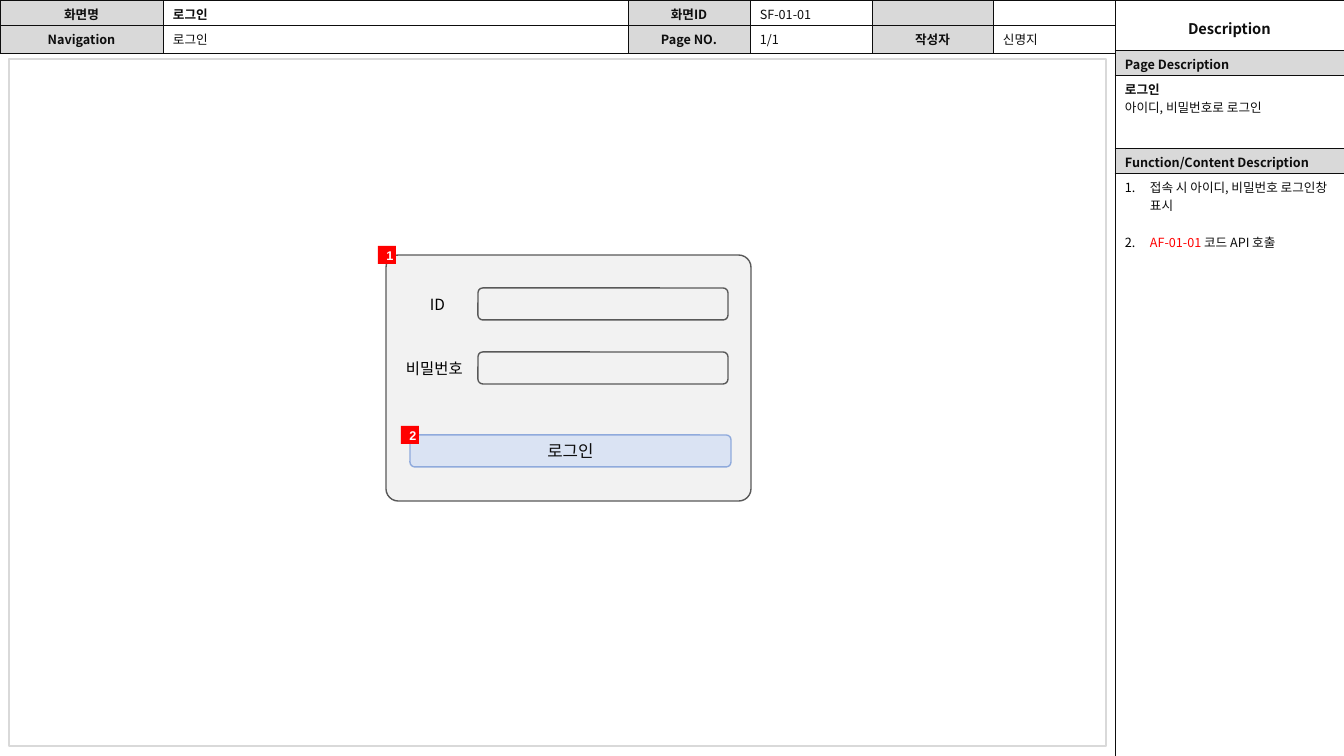
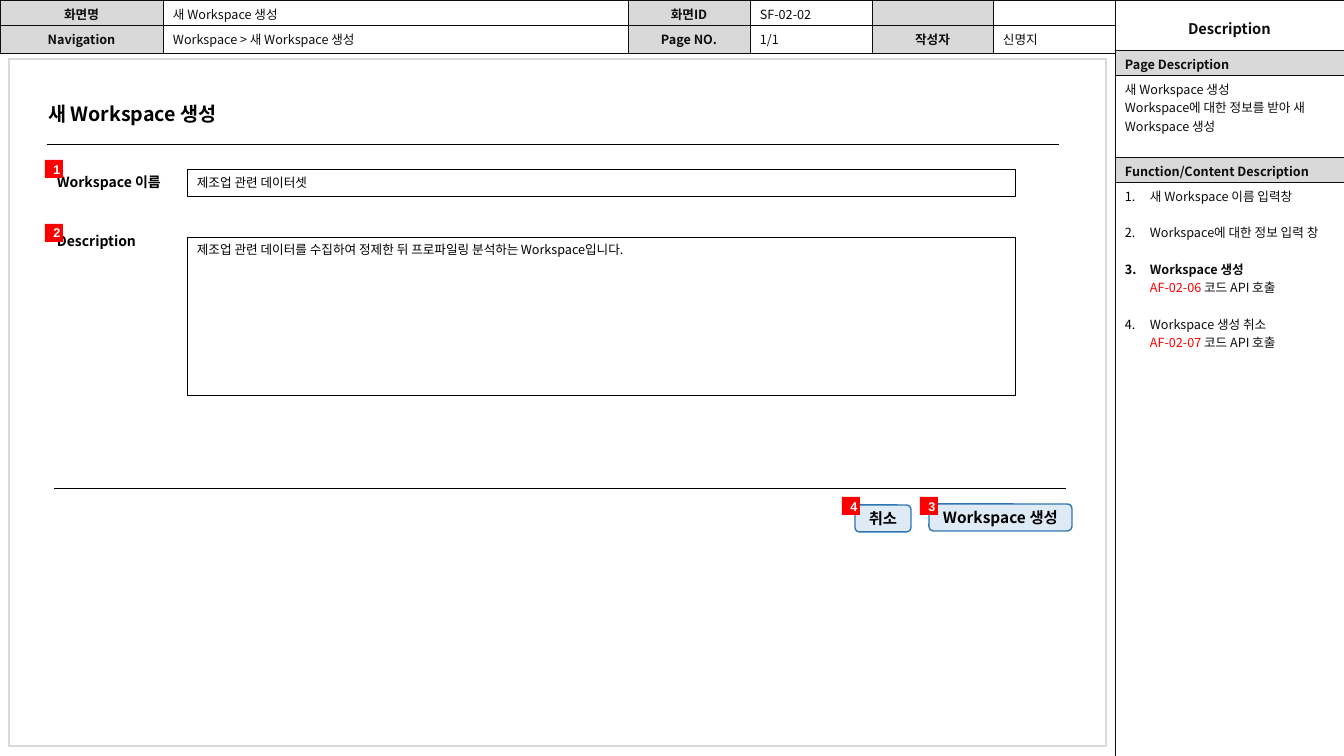
from copy import deepcopy
from dataclasses import dataclass

from lxml.etree import SubElement
from pptx import Presentation
from pptx.dml.color import RGBColor
from pptx.enum.shapes import MSO_CONNECTOR, MSO_SHAPE
from pptx.enum.text import MSO_ANCHOR, MSO_AUTO_SIZE, PP_ALIGN
from pptx.oxml.ns import qn
from pptx.util import Emu, Pt


@dataclass(frozen=True)
class Theme:
    font: str = "Noto Sans CJK KR"
    badge_font: str = "Arial"
    black: str = "000000"
    ink: str = "0D0D0D"
    white: str = "FFFFFF"
    red: str = "FF0000"
    band: str = "D9D9D9"
    panel: str = "F2F2F2"
    panel_line: str = "595959"
    login: str = "DAE3F3"
    login_line: str = "8FAADC"
    action: str = "DEEBF7"
    action_line: str = "2E75B6"
    small: float = 9
    label: float = 10
    heading: float = 10.5
    medium: float = 11
    large: float = 12
    title: float = 14
    hairline: float = 0.5
    outline: float = 1


THEME = Theme()
SLIDE_WIDTH, SLIDE_HEIGHT = 1344, 756
SIDE_LEFT, SIDE_TOP = 1115, 50
HEADER_COLUMNS = (163, 465, 122, 122, 121, 122, 229)
HEADER_ROWS = (25, 28)
SIDE_BAND = 25
BADGE_SIZE = 18
BREAK = "\n"


@dataclass(frozen=True)
class Run:
    text: str
    bold: bool = False
    color: str = THEME.ink
    size: float = THEME.small
    font: str = THEME.font


def px(length):
    return Emu(round(length * 914400 / 100.8))


def rgb(color):
    return RGBColor.from_string(color)


# Text
def add_runs(paragraph, runs):
    for item in runs:
        if item == BREAK:
            # The break takes the type size of the run before it
            properties = paragraph.runs[-1]._r.find(qn("a:rPr"))
            paragraph.add_line_break()
            paragraph._p[-1].append(deepcopy(properties))
            continue
        run = paragraph.add_run()
        run.text = item.text
        run.font.size = Pt(item.size)
        run.font.bold = item.bold
        run.font.color.rgb = rgb(item.color)
        run.font.name = item.font
        SubElement(run._r.find(qn("a:rPr")), qn("a:ea"), typeface=item.font)


def number_paragraph(paragraph):
    properties = paragraph._p.get_or_add_pPr()
    properties.set("marL", str(px(25)))
    properties.set("indent", str(-px(25)))
    color = SubElement(properties, qn("a:buClr"))
    SubElement(color, qn("a:srgbClr"), val=THEME.black)
    SubElement(properties, qn("a:buAutoNum"), type="arabicPeriod")


def write(frame, paragraphs, align=PP_ALIGN.LEFT, numbered=False):
    for index, runs in enumerate(paragraphs):
        paragraph = frame.add_paragraph() if index else frame.paragraphs[0]
        paragraph.alignment = align
        if numbered:
            number_paragraph(paragraph)
            if index:
                paragraph.space_before = Pt(13)
        add_runs(paragraph, runs)


def add_label(slide, left, top, width, height, run):
    frame = slide.shapes.add_textbox(px(left), px(top), px(width), px(height)).text_frame
    frame.word_wrap = True
    write(frame, [[run]])


def set_title(slide, left, top, width, height, text):
    title = slide.shapes.title
    title.left, title.top = px(left), px(top)
    title.width, title.height = px(width), px(height)
    frame = title.text_frame
    frame.auto_size = MSO_AUTO_SIZE.NONE
    frame.vertical_anchor = MSO_ANCHOR.TOP
    write(frame, [[Run(text, True, THEME.black, THEME.title)]])


# Shapes
def add_box(slide, left, top, width, height, line=None, fill=None, radius=None,
            weight=THEME.outline):
    kind = MSO_SHAPE.RECTANGLE if radius is None else MSO_SHAPE.ROUNDED_RECTANGLE
    shape = slide.shapes.add_shape(kind, px(left), px(top), px(width), px(height))
    shape.shadow.inherit = False
    if radius is not None:
        shape.adjustments[0] = radius
    if fill:
        shape.fill.solid()
        shape.fill.fore_color.rgb = rgb(fill)
    else:
        shape.fill.background()
    if line:
        shape.line.color.rgb = rgb(line)
        shape.line.width = Pt(weight)
    else:
        shape.line.fill.background()
    shape.text_frame.word_wrap = True
    return shape


def add_button(slide, left, top, width, height, run, fill, line, radius):
    frame = add_box(slide, left, top, width, height, line, fill, radius).text_frame
    frame.margin_left = frame.margin_right = 0
    frame.vertical_anchor = MSO_ANCHOR.MIDDLE
    write(frame, [[run]], PP_ALIGN.CENTER)


def add_field(slide, left, top, width, height, text, anchor):
    frame = add_box(slide, left, top, width, height, THEME.black,
                    weight=THEME.hairline).text_frame
    frame.vertical_anchor = anchor
    write(frame, [[Run(text, color=THEME.black)]])


def add_badges(slide, positions):
    for number, (left, top) in positions.items():
        frame = add_box(slide, left, top, BADGE_SIZE, BADGE_SIZE, fill=THEME.red).text_frame
        frame.margin_left = px(6)
        frame.margin_right = frame.margin_top = frame.margin_bottom = 0
        frame.vertical_anchor = MSO_ANCHOR.MIDDLE
        run = Run(str(number), True, THEME.white, THEME.small, THEME.badge_font)
        write(frame, [[run]], PP_ALIGN.CENTER)


def add_rule(slide, left, top, width):
    rule = slide.shapes.add_connector(
        MSO_CONNECTOR.STRAIGHT, px(left), px(top), px(left + width), px(top))
    rule.line.color.rgb = rgb(THEME.black)
    rule.line.width = Pt(THEME.hairline)
    SubElement(rule._element.spPr, qn("a:effectLst"))


# Tables
def add_grid(slide, left, top, columns, rows):
    table = slide.shapes.add_table(
        len(rows), len(columns), px(left), px(top), px(sum(columns)), px(sum(rows))).table
    table.first_row = table.horz_banding = False
    for column, width in zip(table.columns, columns):
        column.width = px(width)
    for row, height in zip(table.rows, rows):
        row.height = px(height)
    return table


def style_cell(cell, fill):
    cell.fill.solid()
    cell.fill.fore_color.rgb = rgb(fill)
    cell.margin_left = cell.margin_right = px(10)
    cell.margin_top, cell.margin_bottom = px(5), px(1)
    properties = cell._tc.get_or_add_tcPr()
    for index, side in enumerate(("lnL", "lnR", "lnT", "lnB")):
        border = SubElement(properties, qn(f"a:{side}"), w=str(Pt(THEME.hairline)))
        solid = SubElement(border, qn("a:solidFill"))
        SubElement(solid, qn("a:srgbClr"), val=THEME.ink)
        properties.insert(index, border)
    if not cell.text_frame.text:
        # Keeps an empty cell from stretching its row
        SubElement(cell.text_frame.paragraphs[0]._p, qn("a:endParaRPr"),
                   sz=str(int(THEME.small * 100)))


def add_header(slide, name, screen_id, navigation):
    table = add_grid(slide, 0, 0, HEADER_COLUMNS, HEADER_ROWS)
    rows = (("화면명", name, "화면ID", Run(screen_id), "", None),
            ("Navigation", Run(navigation), "Page NO.", Run("1/1"), "작성자", Run("신명지")))
    for row_index, row in enumerate(rows):
        for column_index, content in enumerate(row):
            cell = table.cell(row_index, column_index)
            is_heading = column_index % 2 == 0
            if content:
                run = Run(content, True) if is_heading else content
                write(cell.text_frame, [[run]],
                      PP_ALIGN.CENTER if is_heading else PP_ALIGN.LEFT)
            style_cell(cell, THEME.band if is_heading else THEME.white)
    description, below = table.cell(0, 6), table.cell(1, 6)
    write(description.text_frame, [[Run("Description", True, size=THEME.heading)]],
          PP_ALIGN.CENTER)
    for cell in (description, below):
        style_cell(cell, THEME.white)
    description.vertical_anchor = MSO_ANCHOR.MIDDLE
    description.merge(below)


def add_side_panel(slide, page_height, page_lines, functions):
    rest = SLIDE_HEIGHT - SIDE_TOP - 2 * SIDE_BAND - page_height
    table = add_grid(slide, SIDE_LEFT, SIDE_TOP, HEADER_COLUMNS[-1:],
                     (SIDE_BAND, page_height, SIDE_BAND, rest))
    sections = (([[Run("Page Description", True)]], THEME.band),
                (page_lines, THEME.white),
                ([[Run("Function/Content Description", True)]], THEME.band),
                (functions, THEME.white))
    for index, (paragraphs, fill) in enumerate(sections):
        cell = table.cell(index, 0)
        write(cell.text_frame, paragraphs, numbered=paragraphs is functions)
        style_cell(cell, fill)


def add_frame(slide):
    add_box(slide, 9, 59, 1097, 687, THEME.band)


def api_call(code):
    return [Run(f"{code} ", color=THEME.red), Run("코드 API 호출")]


# Slides
def build_login(presentation):
    slide = presentation.slides.add_slide(presentation.slide_layouts[6])
    add_header(slide, Run("로그인", True), "SF-01-01", "로그인")
    add_side_panel(
        slide, 73,
        [[Run("로그인", True)], [Run("아이디, 비밀번호로 로그인")]],
        [[Run("접속 시 아이디, 비밀번호 로그인창 표시")], api_call("AF-01-01")])
    add_frame(slide)
    add_box(slide, 386, 255, 365, 246, THEME.panel_line, THEME.panel, 0.05)
    for text, label_left, top in (("ID", 420, 288), ("비밀번호", 396, 352)):
        add_box(slide, 478, top, 250, 32, THEME.panel_line, THEME.panel, 0.15)
        add_label(slide, label_left, top + 2, 93, 29,
                  Run(text, color=THEME.black, size=THEME.medium))
    add_button(slide, 410, 435, 321, 32, Run("로그인", size=THEME.large),
               THEME.login, THEME.login_line, 0.15)
    add_badges(slide, {1: (378, 246), 2: (401, 426)})


def build_workspace(presentation):
    slide = presentation.slides.add_slide(presentation.slide_layouts[5])
    name = "새 Workspace 생성"
    add_header(slide, Run(name), "SF-02-02", f"Workspace > {name}")
    add_side_panel(
        slide, 82,
        [[Run(name)], [Run("Workspace에 대한 정보를 받아 새 Workspace 생성")]],
        [[Run("새 Workspace 이름 입력창")],
         [Run("Workspace에 대한 정보 입력 창")],
         [Run("Workspace 생성", True), BREAK, *api_call("AF-02-06")],
         [Run("Workspace 생성 취소"), BREAK, *api_call("AF-02-07")]])
    add_frame(slide)
    set_title(slide, 38, 97, 245, 34, name)
    for left, top in ((47, 144), (54, 488)):
        add_rule(slide, left, top, 1012)
    # Form
    for text, top in (("Workspace 이름", 169), ("Description", 228)):
        add_label(slide, 47, top, 149, 27, Run(text, True, THEME.black, THEME.label))
    add_field(slide, 187, 169, 828, 27, "제조업 관련 데이터셋", MSO_ANCHOR.MIDDLE)
    add_field(slide, 187, 237, 828, 158,
              "제조업 관련 데이터를 수집하여 정제한 뒤 프로파일링 분석하는 Workspace입니다.",
              MSO_ANCHOR.TOP)
    for text, left, top, width in (("Workspace 생성", 929, 504, 143), ("취소", 855, 505, 56)):
        add_button(slide, left, top, width, 27, Run(text, True, THEME.black, THEME.medium),
                   THEME.action, THEME.action_line, 0.17)
    add_badges(slide, {1: (45, 160), 2: (45, 224), 3: (920, 497), 4: (842, 497)})


def main():
    presentation = Presentation()
    presentation.slide_width = px(SLIDE_WIDTH)
    presentation.slide_height = px(SLIDE_HEIGHT)
    build_login(presentation)
    build_workspace(presentation)
    presentation.save("out.pptx")


if __name__ == "__main__":
    main()
